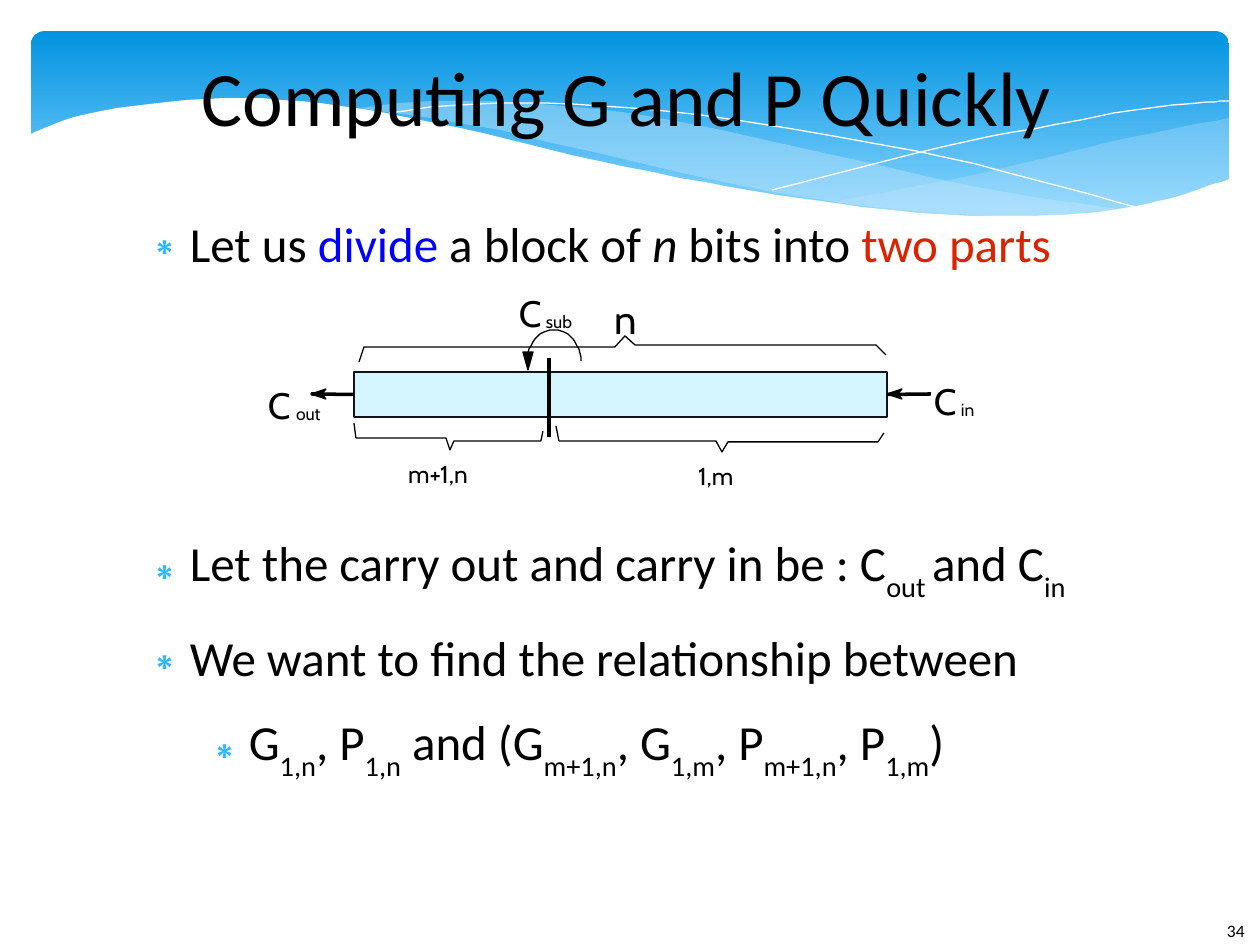
from math import cos, pi, sin
from lxml.etree import SubElement
from pptx import Presentation
from pptx.dml.color import RGBColor
from pptx.enum.shapes import MSO_CONNECTOR, MSO_SHAPE
from pptx.enum.text import MSO_ANCHOR, MSO_AUTO_SIZE, PP_ALIGN
from pptx.oxml.ns import qn
from pptx.util import Pt

PX = 7257  # EMU in one px, 126 px to the inch
BLACK = RGBColor(0x00, 0x00, 0x00)
WHITE = RGBColor(0xFF, 0xFF, 0xFF)
BLUE = RGBColor(0x00, 0x00, 0xFF)
RED = RGBColor(0xDC, 0x23, 0x00)
BANNER_TOP = RGBColor(0x02, 0x93, 0xE0)
BANNER_BOTTOM = RGBColor(0x83, 0xD3, 0xFE)
WAVE = RGBColor(0xC6, 0xE7, 0xFC)
BLOCK_FILL = RGBColor(0xD5, 0xF6, 0xFF)
BLOCK_LINE = RGBColor(0x15, 0x11, 0x1D)
BULLET = "31B6FD"


def smooth(points, steps=5):
    """Return points along a Catmull-Rom curve through the given points."""
    padded = [points[0], *points, points[-1]]
    curve = []
    for a, b, c, d in zip(padded, padded[1:], padded[2:], padded[3:]):
        for step in range(steps):
            t = step / steps
            curve.append(tuple(
                b[k] + t * (c[k] - a[k]) / 2
                + t**2 * (2 * a[k] - 5 * b[k] + 4 * c[k] - d[k]) / 2
                + t**3 * (3 * b[k] - a[k] - 3 * c[k] + d[k]) / 2
                for k in (0, 1)))
    return curve + [points[-1]]


def draw_path(points, fill=None, line=None, opacity=100):
    """Draw a closed shape when a fill is given, otherwise an open line."""
    builder = slide.shapes.build_freeform(*points[0], scale=PX)
    builder.add_line_segments(points[1:], close=fill is not None)
    shape = builder.convert_to_shape()
    shape.shadow.inherit = False
    if fill is None:
        shape.fill.background()
    else:
        shape.fill.solid()
        shape.fill.fore_color.rgb = fill
        if opacity < 100:
            colour = shape._element.spPr.find(qn("a:solidFill"))[0]
            SubElement(colour, qn("a:alpha"), val=str(opacity * 1000))
    if line is None:
        shape.line.fill.background()
    else:
        shape.line.color.rgb = line
        shape.line.width = 0


presentation = Presentation()
presentation.slide_width = 1260 * PX
presentation.slide_height = 945 * PX
slide = presentation.slides.add_slide(presentation.slide_layouts[1])
shapes = slide.shapes
title, body = slide.placeholders[0], slide.placeholders[1]

# Banner with waves
banner = shapes.add_shape(MSO_SHAPE.ROUNDED_RECTANGLE,
                          31 * PX, 31 * PX, 1198 * PX, 197 * PX)
banner.adjustments[0] = 0.07
banner.shadow.inherit = False
banner.line.fill.background()
banner.fill.gradient()
banner.fill.gradient_angle = 270
for stop, position, colour in zip(banner.fill.gradient_stops, (0, 0.9),
                                  (BANNER_TOP, BANNER_BOTTOM)):
    stop.position = position
    stop.color.rgb = colour

right_wave_top = [(1229, 118), (1123, 139), (982, 173), (833, 202)]
right_wave_bottom = [(833, 202), (939, 213), (1025, 217), (1099, 213),
                     (1160, 202), (1229, 179)]
left_wave_top = [(360, 108), (433, 101), (529, 103), (648, 116), (793, 146),
                 (977, 187), (1125, 210)]
left_wave_bottom = [(1125, 210), (1031, 218), (912, 212), (757, 189),
                    (566, 146), (482, 127), (360, 108)]
falling_line = [(389, 113), (445, 106), (545, 103), (701, 115), (916, 151),
                (1047, 183), (1143, 209)]
rising_line = [(772, 190), (942, 147), (1053, 125), (1128, 111), (1198, 103),
               (1229, 101)]
banner_edge = [(29, 135), (74, 117), (150, 104), (243, 98), (341, 106),
               (460, 128), (599, 161), (730, 187), (842, 204), (938, 214),
               (1019, 216), (1087, 213), (1147, 204), (1197, 190), (1231, 178)]
draw_path(smooth(right_wave_top) + smooth(right_wave_bottom), WAVE, opacity=29)
draw_path(smooth(left_wave_top) + smooth(left_wave_bottom), WAVE, opacity=40)
draw_path(smooth(falling_line), line=WHITE)
draw_path(smooth(rising_line), line=WHITE)
draw_path(smooth(banner_edge) + [(1231, 282), (29, 282)], WHITE)

# Title and list, brought in front of the banner
for placeholder, left, top, width, height in (
        (title, 116, 31, 1022, 129), (body, 126, 213, 1022, 624)):
    shapes._spTree.append(placeholder._element)
    placeholder.left, placeholder.top = left * PX, top * PX
    placeholder.width, placeholder.height = width * PX, height * PX
    frame = placeholder.text_frame
    frame.margin_left = frame.margin_right = 0
    frame.margin_top = frame.margin_bottom = 0
    frame.auto_size = MSO_AUTO_SIZE.NONE

title.text_frame.text = "Computing G and P Quickly"
title.text_frame.vertical_anchor = MSO_ANCHOR.MIDDLE
heading = title.text_frame.paragraphs[0]
heading.alignment = PP_ALIGN.CENTER
heading.font.size = Pt(44)
heading.font.name = "Calibri"
heading.font.color.rgb = BLACK

# Level, space after in points, runs as (text, style)
items = [
    (0, 149, [("Let us", ""), (" divide", "blue"), (" a block of ", ""),
              ("n", "italic"), (" bits into ", ""), ("two parts", "red")]),
    (0, 14, [("Let the carry out and carry in be : C", ""), ("out ", "sub"),
             ("and C", ""), ("in", "sub")]),
    (0, 14, [("We want to find the relationship between", "")]),
    (1, 11, [("G", ""), ("1,n", "sub"), (", P", ""), ("1,n", "sub"),
             (" and (G", ""), ("m+1,n", "sub"), (", G", ""), ("1,m", "sub"),
             (", P", ""), ("m+1,n", "sub"), (", P", ""), ("1,m", "sub"),
             (")", "")]),
]
for index, (level, space_after, runs) in enumerate(items):
    frame = body.text_frame
    paragraph = frame.add_paragraph() if index else frame.paragraphs[0]
    paragraph.level = level
    paragraph.space_before = Pt(0)
    paragraph.space_after = Pt(space_after)
    properties = paragraph._p.get_or_add_pPr()
    properties.set("marL", str((59 + 59 * level) * PX))
    properties.set("indent", str(-44 * PX))
    bullet_colour = SubElement(properties, qn("a:buClr"))
    SubElement(bullet_colour, qn("a:srgbClr"), val=BULLET)
    SubElement(properties, qn("a:buChar"), char="∗")
    for text, style in runs:
        run = paragraph.add_run()
        run.text = text
        run.font.size = Pt(28)
        run.font.name = "Calibri"
        run.font.color.rgb = {"blue": BLUE, "red": RED}.get(style, BLACK)
        if style == "italic":
            run.font.italic = True
        if style == "sub":
            run._r.get_or_add_rPr().set("baseline", "-33000")

# Block of n bits with its braces
block = shapes.add_shape(MSO_SHAPE.RECTANGLE,
                         354 * PX, 372 * PX, 533 * PX, 45 * PX)
block.shadow.inherit = False
block.fill.solid()
block.fill.fore_color.rgb = BLOCK_FILL
block.line.color.rgb = BLOCK_LINE
block.line.width = 0

for brace in (
        [(359, 362), (364, 347), (615, 347), (625, 336), (635, 345),
         (876, 345), (886, 355)],
        [(354, 423), (356, 438), (446, 438), (450, 450), (454, 441),
         (541, 441), (543, 431)],
        [(556, 426), (559, 441), (716, 441), (722, 452), (728, 442),
         (878, 442), (884, 433)]):
    draw_path(brace, line=BLACK)

# Divider, carry in and carry out
divider, carry_in, carry_out = [
    shapes.add_connector(MSO_CONNECTOR.STRAIGHT, *(value * PX for value in ends))
    for ends in ((549, 358, 549, 437), (931, 394, 887, 394), (354, 394, 311, 394))]
carry_in.end_connect(block, 3)
carry_out.begin_connect(block, 1)
for connector in (divider, carry_in, carry_out):
    connector.line.color.rgb = BLACK
    connector.line.width = 0
    SubElement(connector._element.spPr, qn("a:effectLst"))
for tip_x in (311, 887):
    draw_path([(tip_x + 11, 394), (tip_x + 15, 389), (tip_x, 394),
               (tip_x + 15, 399)], BLACK, BLACK)

# Carry between the two parts
draw_path([(554 + 27 * cos(pi * k / 24), 361 - 31 * sin(pi * k / 24))
           for k in range(25)], line=BLACK)
draw_path([(523, 352), (528, 370), (533, 352)], BLACK, BLACK)

# Labels, then the slide number
for text, left, top, width, height, size, font in (
        ("n", 615, 294, 40, 54, 23, "Cabin"),
        ("1,m", 698, 461, 54, 35, 14, "Cabin"),
        ("m+1,n", 408, 459, 84, 35, 14, "Cabin"),
        ("C", 268, 383, 43, 49, 21, "Cabin"),
        ("out", 296, 403, 32, 23, 10, "Cabin"),
        ("C", 934, 379, 43, 49, 21, "Cabin"),
        ("in", 961, 399, 21, 23, 10, "Cabin"),
        ("C", 519, 291, 43, 49, 21, "Cabin"),
        ("sub", 546, 311, 35, 23, 10, "Cabin"),
        ("34", 1227, 920, 33, 25, 10, "Calibri")):
    label = shapes.add_textbox(left * PX, top * PX, width * PX, height * PX)
    frame = label.text_frame
    frame.margin_left = frame.margin_right = 0
    frame.margin_top = frame.margin_bottom = 0
    frame.word_wrap = False
    frame.text = text
    label_font = frame.paragraphs[0].runs[0].font
    label_font.size = Pt(size)
    label_font.name = font
    label_font.color.rgb = BLACK

presentation.save("out.pptx")
